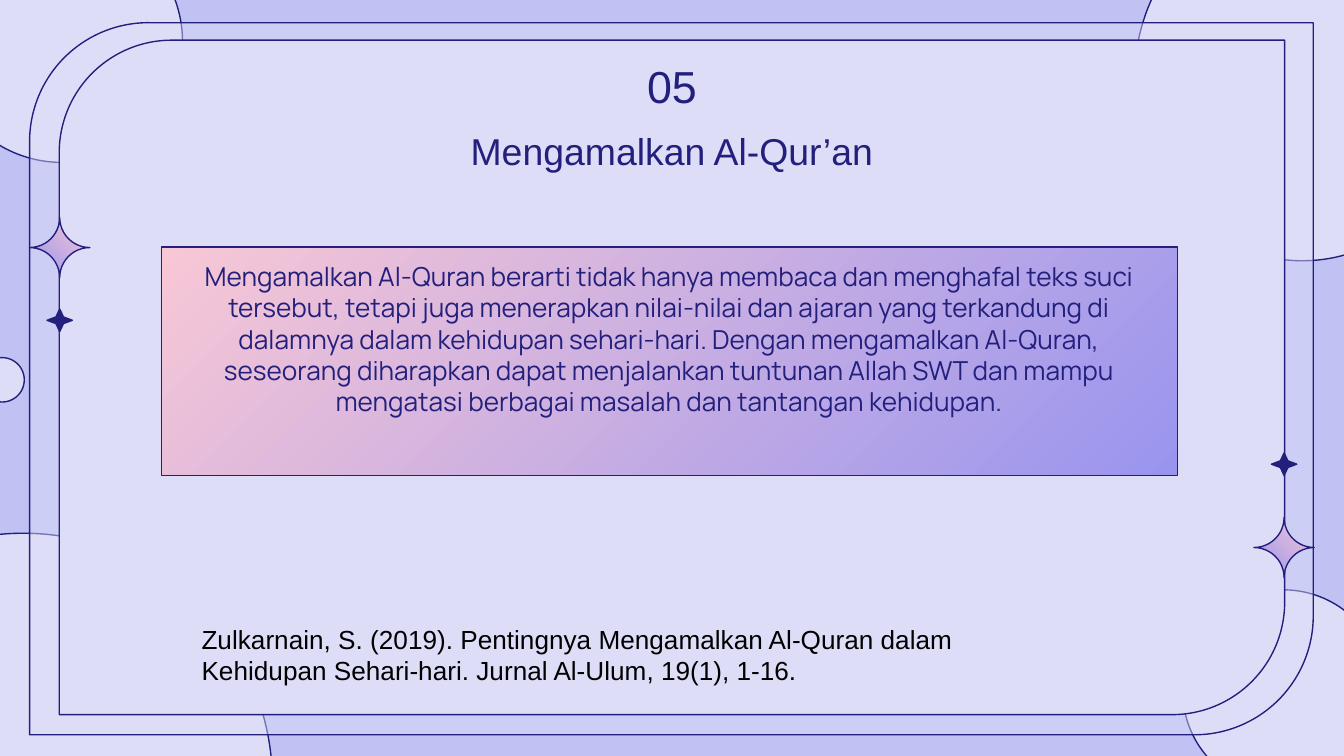
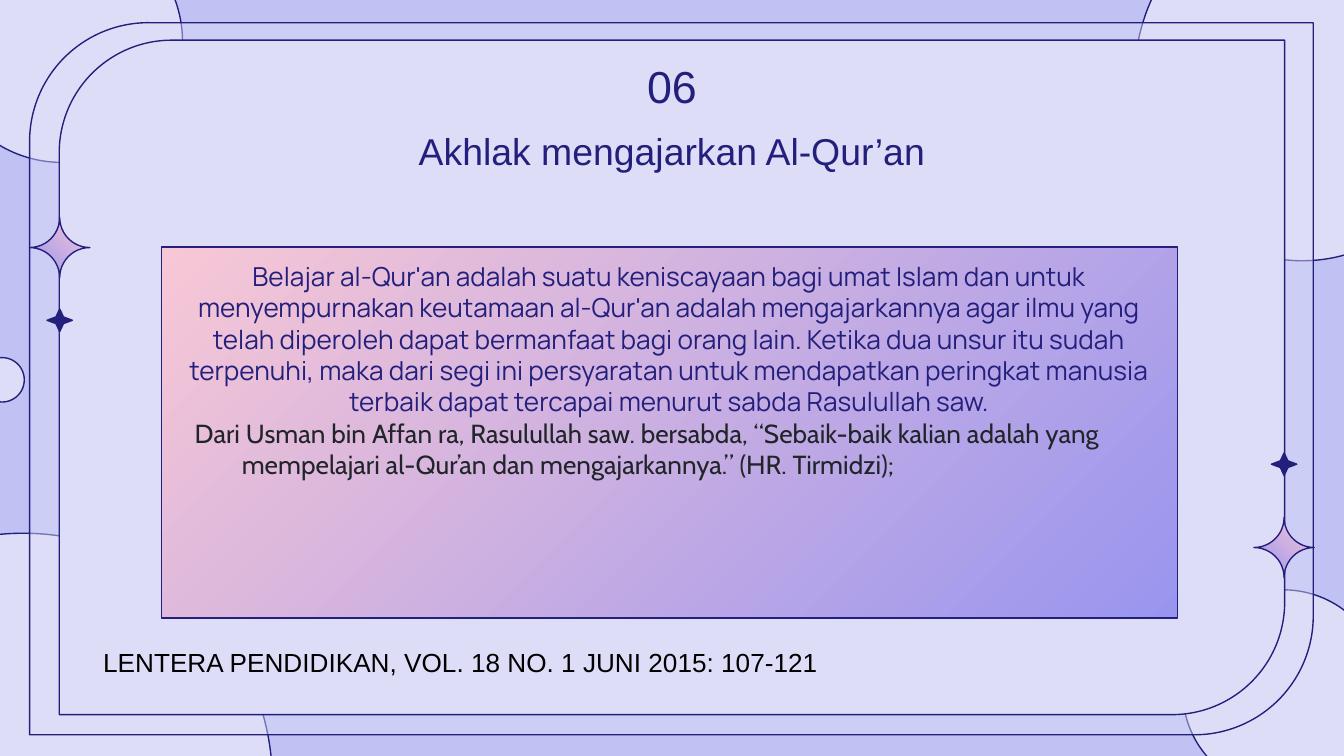
import pptx
import pptx.dml.color
import pptx.enum.shapes
import pptx.enum.text
import pptx.oxml
import pptx.oxml.ns
import pptx.util

Cm = pptx.util.Cm
Shape = pptx.enum.shapes.MSO_SHAPE
Align = pptx.enum.text.PP_ALIGN
Anchor = pptx.enum.text.MSO_ANCHOR

COLORS = {
    "background": "C0C2F4",
    "surface": "DEDDF8",
    "navy": "231F7C",
    "pink": "F8C7D5",
    "violet": "9995EF",
    "black": "000000",
    "charcoal": "212529",
}
SLIDE_WIDTH = 25.4
CIRCLES = [
    (21.44, -1.93, 6.35, 6.86),
    (-1.12, -1.5, 4.57, 4.57),
    (-4.27, 10.08, 9.42, 9.42),
    (22.35, 11.15, 3.81, 3.81),
    (-0.38, 6.76, 0.84, 0.84),
]
SPARKLES = [(23.7, 9.78), (0.56, 4.11)]
STARS = [(24.03, 8.56), (0.89, 5.84)]

SLIDES = [
    {
        "number": "05",
        "title": "Mengamalkan Al-Qur’an",
        "title_width": 12.4,
        "panel_height": 4.32,
        "body": "Mengamalkan Al-Quran berarti tidak hanya membaca dan menghafal teks suci "
                "tersebut, tetapi juga menerapkan nilai-nilai dan ajaran yang terkandung di "
                "dalamnya dalam kehidupan sehari-hari. Dengan mengamalkan Al-Quran, seseorang "
                "diharapkan dapat menjalankan tuntunan Allah SWT dan mampu mengatasi berbagai "
                "masalah dan tantangan kehidupan.",
        "hadith": None,
        "reference": "Zulkarnain, S. (2019). Pentingnya Mengamalkan Al-Quran dalam Kehidupan "
                     "Sehari-hari. Jurnal Al-Ulum, 19(1), 1-16.",
        "reference_box": (3.56, 11.66, 16.03, 1.45),
    },
    {
        "number": "06",
        "title": "Akhlak mengajarkan Al-Qur’an",
        "title_width": 10.95,
        "panel_height": 7.01,
        "body": "Belajar al-Qur'an adalah suatu keniscayaan bagi umat Islam dan untuk "
                "menyempurnakan keutamaan al-Qur'an adalah mengajarkannya agar ilmu yang telah "
                "diperoleh dapat bermanfaat bagi orang lain. Ketika dua unsur itu sudah "
                "terpenuhi, maka dari segi ini persyaratan untuk mendapatkan peringkat manusia "
                "terbaik dapat tercapai menurut sabda Rasulullah saw.",
        "hadith": "Dari Usman bin Affan ra, Rasulullah saw. bersabda, “Sebaik-baik kalian "
                  "adalah yang mempelajari al-Qur’an dan mengajarkannya.” (HR. Tirmidzi);",
        "reference": "LENTERA PENDIDIKAN, VOL. 18 NO. 1 JUNI 2015: 107-121",
        "reference_box": (1.7, 12.09, 22, 0.86),
    },
]


def rgb(name):
    return pptx.dml.color.RGBColor.from_string(COLORS[name])


def write(paragraph, text, font="Arial", size=14, color="navy", align=Align.LEFT,
          left=0, indent=0):
    paragraph.alignment = align
    if left or indent:
        properties = paragraph._p.get_or_add_pPr()
        properties.set("marL", str(Cm(left)))
        properties.set("indent", str(Cm(indent)))
    run = paragraph.add_run()
    run.text = text
    run.font.name = font
    run.font.size = pptx.util.Pt(size)
    run.font.color.rgb = rgb(color)


class SlideBuilder:
    def __init__(self, presentation):
        self.presentation = presentation
        self.slide = None

    def start(self):
        self.slide = self.presentation.slides.add_slide(self.presentation.slide_layouts[6])
        background = self.slide.background.fill
        background.solid()
        background.fore_color.rgb = rgb("background")

    def shape(self, kind, box, fill="surface", opacity=None, adjustments=(), flip=False):
        shape = self.slide.shapes.add_shape(kind, *map(Cm, box))
        shape.shadow.inherit = False
        shape.line.color.rgb = rgb("navy")
        shape.line.width = pptx.util.Pt(0.75)
        for index, value in enumerate(adjustments):
            shape.adjustments[index] = value
        if flip:
            shape._element.spPr.get_or_add_xfrm().set("flipH", "1")
        if fill == "gradient":
            shape.fill.gradient()
            shape.fill.gradient_angle = 315
            for stop, color in zip(shape.fill.gradient_stops, ("pink", "violet")):
                stop.color.rgb = rgb(color)
        else:
            shape.fill.solid()
            shape.fill.fore_color.rgb = rgb(fill)
        if opacity is not None:
            color = shape._element.spPr.find(".//" + pptx.oxml.ns.qn("a:srgbClr"))
            alpha = color.makeelement(pptx.oxml.ns.qn("a:alpha"), {"val": str(opacity * 1000)})
            color.append(alpha)
        return shape

    def text(self, text, box, anchor=Anchor.TOP, **style):
        frame = self.slide.shapes.add_textbox(*map(Cm, box)).text_frame
        frame.word_wrap = True
        frame.vertical_anchor = anchor
        write(frame.paragraphs[0], text, **style)
        return frame

    def heading(self, text, top, width, height, size, anchor=Anchor.TOP):
        box = ((SLIDE_WIDTH - width) / 2, top, width, height)
        frame = self.text(text, box, anchor, size=size, align=Align.CENTER)
        frame.margin_top = frame.margin_bottom = Cm(0.25)

    def panel(self, height, body, hadith):
        frame = self.shape(Shape.RECTANGLE, (3.05, 4.67, 19.2, height), "gradient").text_frame
        frame.word_wrap = True
        frame.vertical_anchor = Anchor.TOP
        frame.margin_top = frame.margin_bottom = Cm(0.25)
        write(frame.paragraphs[0], body, font="Manrope", align=Align.CENTER)
        if hadith:
            write(frame.add_paragraph(), hadith, font="Cabin", color="charcoal",
                  left=1.27, indent=-0.89)

    def backdrop(self):
        for box in CIRCLES:
            self.shape(Shape.OVAL, box)
        corners = (0.167, 0)
        self.shape(Shape.ROUND_2_DIAG_RECTANGLE, (0.56, 0.43, 24.26, 13.46),
                   opacity=45, adjustments=corners)
        self.shape(Shape.ROUND_2_DIAG_RECTANGLE, (1.12, 0.76, 23.16, 12.75),
                   adjustments=corners)

    def ornaments(self):
        for left, top in SPARKLES:
            self.shape(Shape.PLAQUE, (left, top, 1.14, 1.14), "gradient",
                       adjustments=(0.5,), flip=True)
        for left, top in STARS:
            self.shape(Shape.STAR_4_POINT, (left, top, 0.48, 0.43), "navy",
                       adjustments=(0.209,), flip=True)


def main():
    presentation = pptx.Presentation()
    presentation.slide_width = Cm(SLIDE_WIDTH)
    presentation.slide_height = Cm(14.29)
    builder = SlideBuilder(presentation)
    for content in SLIDES:
        builder.start()
        builder.backdrop()
        builder.heading(content["number"], 1.04, 2.29, 1.14, 24, Anchor.MIDDLE)
        builder.heading(content["title"], 2.18, content["title_width"], 1.17, 20)
        builder.panel(content["panel_height"], content["body"], content["hadith"])
        builder.ornaments()
        builder.text(content["reference"], content["reference_box"], color="black")
    presentation.save("out.pptx")


if __name__ == "__main__":
    main()
